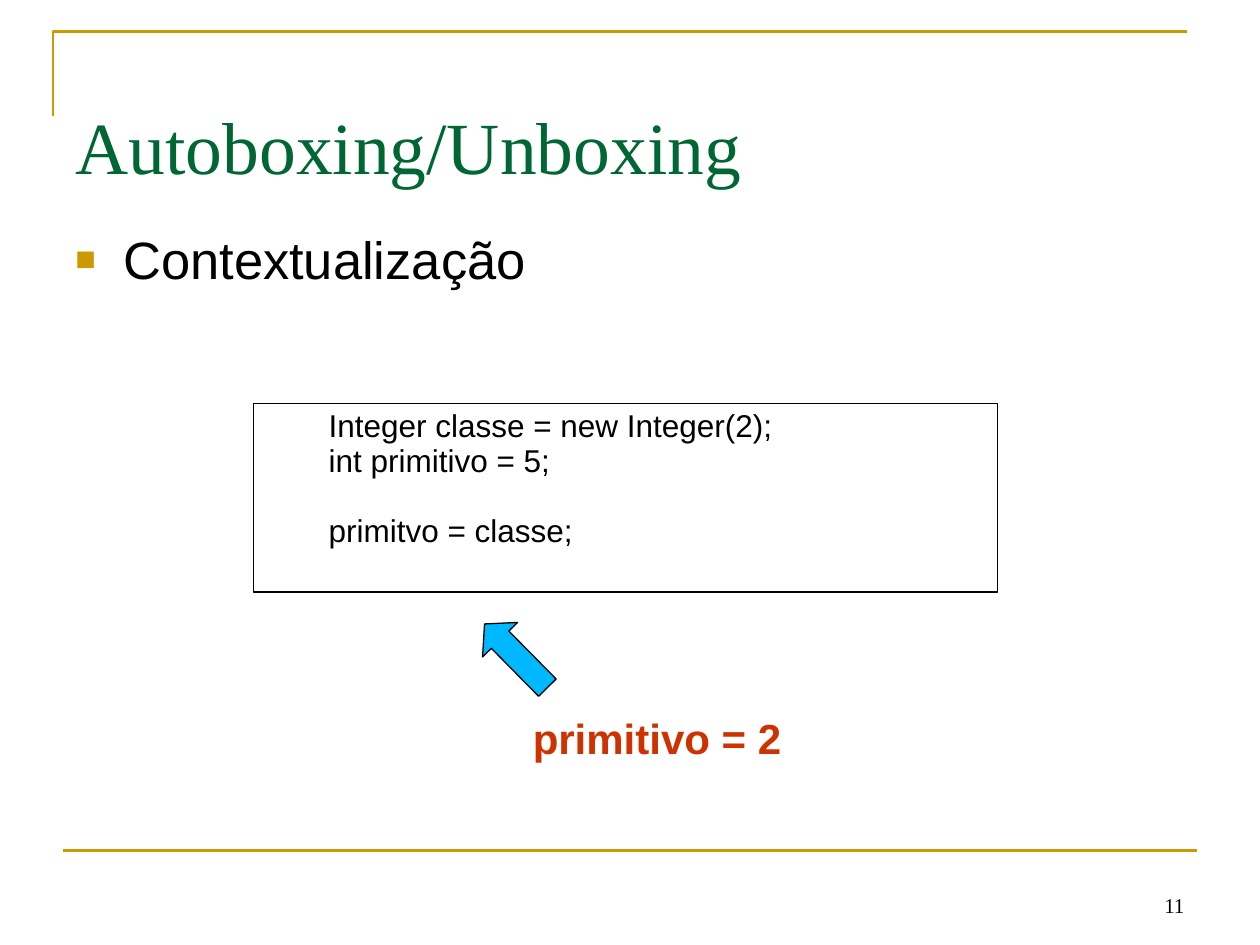
from dataclasses import dataclass

from lxml import etree
from pptx import Presentation
from pptx.dml.color import RGBColor
from pptx.enum.shapes import MSO_CONNECTOR as Connector, MSO_SHAPE as Shape
from pptx.enum.text import MSO_ANCHOR as Anchor, MSO_AUTO_SIZE as AutoSize, PP_ALIGN as Align
from pptx.oxml.ns import qn
from pptx.util import Inches, Pt


@dataclass(frozen=True)
class Theme:
    serif: str = "Times New Roman"
    sans: str = "Arial"
    gold: str = "CC9900"
    green: str = "006633"
    red: str = "CC3300"
    blue: str = "00B8FF"
    black: str = "000000"
    title_size: int = 42
    body_size: int = 30
    label_size: int = 24
    code_size: int = 18
    number_size: int = 12
    rule_width: float = 1.5
    outline_width: float = 0.75


def rgb(code):
    return RGBColor.from_string(code)


def write(para, text, *, font, size, color, bold=False, align=Align.LEFT, before=0, spacing=1.0):
    para.alignment = align
    para.space_before = Pt(before)
    para.line_spacing = spacing
    span = para.add_run()
    span.text = text
    span.font.name = font
    span.font.size = Pt(size)
    span.font.bold = bold
    span.font.color.rgb = rgb(color)


class SlideBuilder:
    def __init__(self, page, theme):
        self.page = page
        self.theme = theme

    def prepare_frame(self, box, anchor=Anchor.TOP):
        frame = box.text_frame
        frame.word_wrap = True
        frame.auto_size = AutoSize.NONE
        frame.vertical_anchor = anchor
        frame.margin_left = frame.margin_right = Inches(0.1)
        frame.margin_top = frame.margin_bottom = Inches(0.05)
        return frame

    def outline(self, shape, color, width):
        shape.line.color.rgb = rgb(color)
        shape.line.width = Pt(width)

    def title(self, text, left, top, width, height):
        box = self.page.shapes.title
        box.left, box.top = Inches(left), Inches(top)
        box.width, box.height = Inches(width), Inches(height)
        frame = self.prepare_frame(box, Anchor.BOTTOM)
        write(frame.paragraphs[0], text, font=self.theme.serif,
              size=self.theme.title_size, color=self.theme.green)

    def text(self, text, left, top, width, height, anchor=Anchor.TOP, **style):
        box = self.page.shapes.add_textbox(Inches(left), Inches(top), Inches(width), Inches(height))
        para = self.prepare_frame(box, anchor).paragraphs[0]
        write(para, text, **style)
        return para

    def bullet(self, text, *place, **style):
        para = self.text(text, *place, **style)
        props = para._p.get_or_add_pPr()
        props.set("marL", str(Inches(0.38)))
        props.set("indent", str(-Inches(0.38)))
        color = etree.SubElement(props, qn("a:buClr"))
        etree.SubElement(color, qn("a:srgbClr"), val=self.theme.gold)
        etree.SubElement(props, qn("a:buSzPct"), val="65000")
        etree.SubElement(props, qn("a:buFont"), typeface=self.theme.sans)
        etree.SubElement(props, qn("a:buChar"), char="■")

    def shape(self, kind, left, top, width, height, fill=None):
        shape = self.page.shapes.add_shape(
            kind, Inches(left), Inches(top), Inches(width), Inches(height))
        shape.shadow.inherit = False
        if fill:
            shape.fill.solid()
            shape.fill.fore_color.rgb = rgb(fill)
        else:
            shape.fill.background()
        self.outline(shape, self.theme.black, self.theme.outline_width)
        return shape

    def code(self, lines, *place):
        frame = self.prepare_frame(self.shape(Shape.RECTANGLE, *place))
        for index, (line, before) in enumerate(lines):
            para = frame.add_paragraph() if index else frame.paragraphs[0]
            write(para, line, font=self.theme.sans, size=self.theme.code_size,
                  color=self.theme.black, before=before, spacing=0.93)
            para._p.get_or_add_pPr().set("marL", str(Inches(0.5)))

    def arrow(self, *place, rotation):
        arrow = self.shape(Shape.LEFT_ARROW, *place, fill=self.theme.blue)
        arrow.adjustments[0], arrow.adjustments[1] = 0.5, 0.45
        arrow.rotation = rotation

    def corner(self, left, top, right, bottom):
        builder = self.page.shapes.build_freeform(Inches(left), Inches(bottom))
        builder.add_line_segments(
            [(Inches(left), Inches(top)), (Inches(right), Inches(top))], close=False)
        corner = builder.convert_to_shape()
        corner.shadow.inherit = False
        corner.fill.background()
        self.outline(corner, self.theme.gold, self.theme.rule_width)

    def rule(self, left, right, y):
        rule = self.page.shapes.add_connector(
            Connector.STRAIGHT, Inches(left), Inches(y), Inches(right), Inches(y))
        self.outline(rule, self.theme.gold, self.theme.rule_width)
        etree.SubElement(rule._element.spPr, qn("a:effectLst"))


def main():
    deck = Presentation()
    deck.slide_width, deck.slide_height = Inches(10), Inches(7.5)
    theme = Theme()
    slide = SlideBuilder(deck.slides.add_slide(deck.slide_layouts[5]), theme)

    slide.corner(0.42, 0.25, 9.42, 0.92)
    slide.rule(0.5, 9.5, 6.75)
    slide.title("Autoboxing/Unboxing", 0.5, 0.75, 9, 0.8)
    slide.bullet("Contextualização", 0.5, 1.75, 9, 3.02, font=theme.sans,
                 size=theme.body_size, color=theme.black, before=7.5)
    slide.code([("Integer classe = new Integer(2);", 0),
                ("int primitivo = 5;", 0),
                ("primitvo = classe;", 20)], 2.01, 3.2, 5.91, 1.5)
    slide.text("primitivo = 2", 4.13, 5.64, 2.68, 0.47, font=theme.sans,
               size=theme.label_size, color=theme.red, bold=True, before=15, spacing=0.93)
    slide.arrow(3.74, 5.01, 0.71, 0.39, rotation=45.4)
    slide.text("11", 7.17, 6.83, 2.33, 0.5, anchor=Anchor.BOTTOM, font=theme.serif,
               size=theme.number_size, color=theme.black, align=Align.RIGHT)
    deck.save("out.pptx")


if __name__ == "__main__":
    main()
